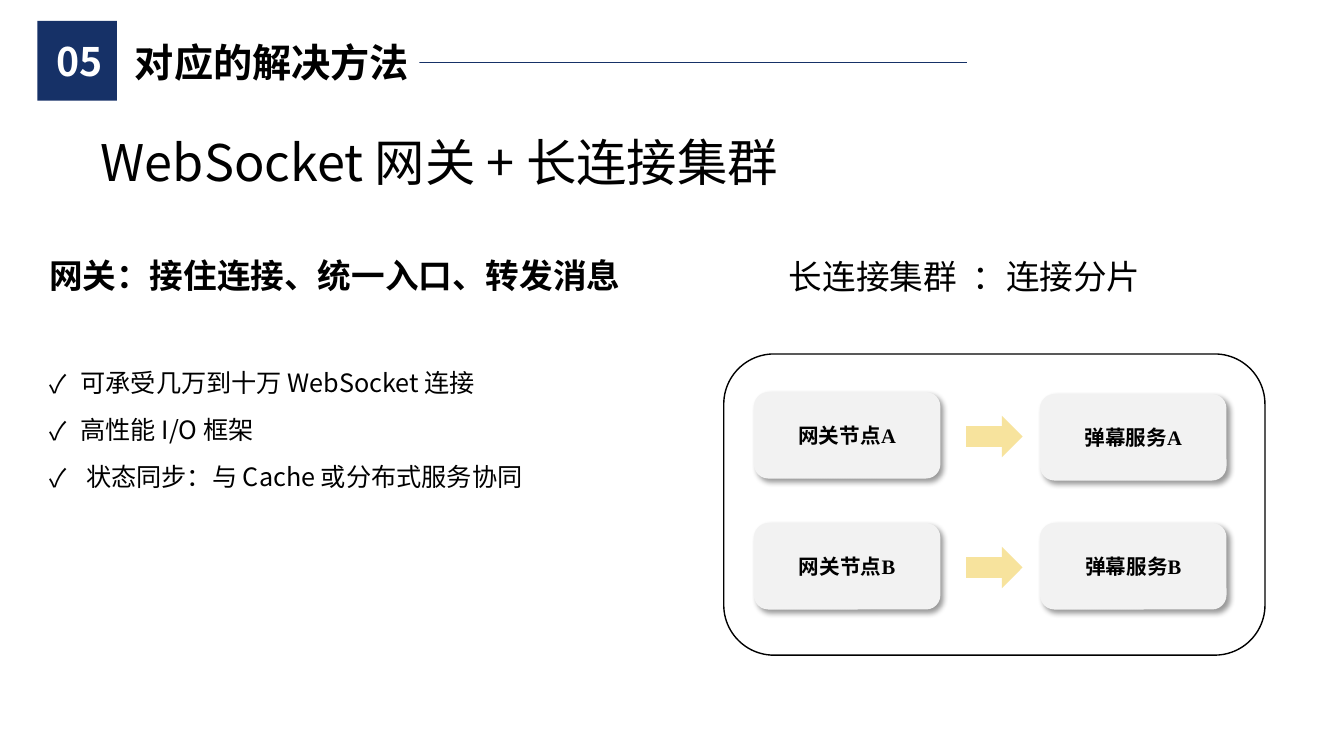
import pptx
import pptx.util
import pptx.dml.color
import pptx.enum.shapes
import pptx.enum.text
import pptx.oxml
import pptx.oxml.ns

Cm = pptx.util.Cm
SHAPE = pptx.enum.shapes.MSO_SHAPE
ALIGN = pptx.enum.text.PP_ALIGN
ANCHOR = pptx.enum.text.MSO_ANCHOR
SANS = "Noto Sans CJK SC"
SERIF = "Times New Roman"
NAVY, BLACK, WHITE = "163167", "000000", "FFFFFF"
NODE_GREY, ARROW_YELLOW = "F2F2F2", "F7E39D"
DRAWING_NS = pptx.oxml.ns.nsdecls("a")


def rgb(value):
    return pptx.dml.color.RGBColor.from_string(value)


def add_xml(parent, markup):
    element = pptx.oxml.parse_xml(markup)
    parent.append(element)
    return element


def write(holder, words, size, color=BLACK, bold=False, font=SANS, align=ALIGN.LEFT):
    holder.text_frame.text = words
    paragraph = holder.text_frame.paragraphs[0]
    paragraph.alignment = align
    for run in paragraph.runs:
        run.font.size = pptx.util.Pt(size)
        run.font.bold = bold
        run.font.name = font
        run.font.color.rgb = rgb(color)
        add_xml(run.font._element, f'<a:ea {DRAWING_NS} typeface="{SANS}"/>')
    return paragraph


def add_label(slide, box, words, size, wrap=True, **style):
    label = slide.shapes.add_textbox(*map(Cm, box))
    label.text_frame.word_wrap = wrap
    return label, write(label, words, size, **style)


def add_block(slide, kind, box, fill, line=None):
    block = slide.shapes.add_shape(kind, *map(Cm, box))
    block.shadow.inherit = False
    block.fill.solid()
    block.fill.fore_color.rgb = rgb(fill)
    if line:
        block.line.color.rgb = rgb(line)
        block.line.width = pptx.util.Pt(1)
    else:
        block.line.fill.background()
    return block


def add_header(slide, left, top, size):
    add_block(slide, SHAPE.RECTANGLE, (left, top, size, size), NAVY)
    rule_top = top + 1.04
    rule = slide.shapes.add_connector(
        pptx.enum.shapes.MSO_CONNECTOR.STRAIGHT,
        Cm(left + 4.42), Cm(rule_top), Cm(left + 23.42), Cm(rule_top))
    rule.line.color.rgb = rgb(NAVY)
    rule.line.width = pptx.util.Pt(0.5)
    add_xml(rule._element.spPr, f"<a:effectLst {DRAWING_NS}/>")
    add_label(slide, (left + 0.05, top + 0.28, size, 1.45), "05", 28,
              color=WHITE, bold=True, align=ALIGN.CENTER)
    title, _ = add_label(slide, (left + 2.21, top + 0.31, 7.42, 1.45),
                         "对应的解决方法", 28, wrap=False, bold=True)
    title.fill.solid()
    title.fill.fore_color.rgb = rgb(WHITE)


def add_gateway_notes(slide, left, top, width):
    add_label(slide, (left, top, width, 1.27),
              "网关：接住连接、统一入口、转发消息", 24, bold=True)
    features = ("可承受几万到十万\u00a0WebSocket\u00a0连接",
                "高性能 I/O 框架",
                " 状态同步：与 Cache 或分布式服务协同")
    for index, feature in enumerate(features):
        _, paragraph = add_label(
            slide, (left, top + 2.84 + index * 1.18, width, 1.02), feature, 18)
        properties = paragraph._p.get_or_add_pPr()
        properties.set("marL", str(Cm(0.79)))
        properties.set("indent", str(-Cm(0.79)))
        add_xml(properties, f'<a:buFont {DRAWING_NS} typeface="{SANS}"/>')
        add_xml(properties, f'<a:buChar {DRAWING_NS} char="✓"/>')


def add_node(slide, left, top, words):
    node = add_block(slide, SHAPE.ROUNDED_RECTANGLE, (left, top, 4.7, 2.18), NODE_GREY)
    node.text_frame.vertical_anchor = ANCHOR.MIDDLE
    write(node, words, 14.7, bold=True, font=SERIF, align=ALIGN.CENTER)
    effects = node._element.spPr.find(pptx.oxml.ns.qn("a:effectLst"))
    add_xml(effects, f'<a:outerShdw {DRAWING_NS} blurRad="50800" dist="38100" '
                     'dir="2700000" algn="tl" rotWithShape="0"><a:srgbClr val="000000">'
                     '<a:alpha val="40000"/></a:srgbClr></a:outerShdw>')


def add_cluster(slide, left, top, width, height):
    add_label(slide, (left + 6.02, top - 2.6, 5.33, 1.27), "：连接分片", 24)
    add_label(slide, (left + 1.39, top - 2.6, 6.12, 1.27), "长连接集群", 24)
    add_block(slide, SHAPE.ROUNDED_RECTANGLE, (left, top, width, height), WHITE, BLACK)
    for letter, gateway_top, service_top in (("A", 0.96, 1.01), ("B", 4.26, 4.26)):
        add_node(slide, left + 0.76, top + gateway_top, f"网关节点{letter}")
        add_block(slide, SHAPE.RIGHT_ARROW,
                  (left + 6.11, top + gateway_top + 0.6, 1.42, 1.04), ARROW_YELLOW)
        add_node(slide, left + 7.97, top + service_top, f"弹幕服务{letter}")


def main():
    deck = pptx.Presentation()
    deck.slide_width, deck.slide_height = Cm(33.87), Cm(19.05)
    slide = deck.slides.add_slide(deck.slide_layouts[6])
    add_header(slide, 0.94, 0.53, 2.01)
    add_label(slide, (2.29, 3.18, 21.41, 1.8), "WebSocket 网关 + 长连接集群", 36)
    add_gateway_notes(slide, 0.99, 6.3, 16.94)
    add_cluster(slide, 18.24, 8.92, 13.64, 7.59)
    deck.save("out.pptx")


if __name__ == "__main__":
    main()
